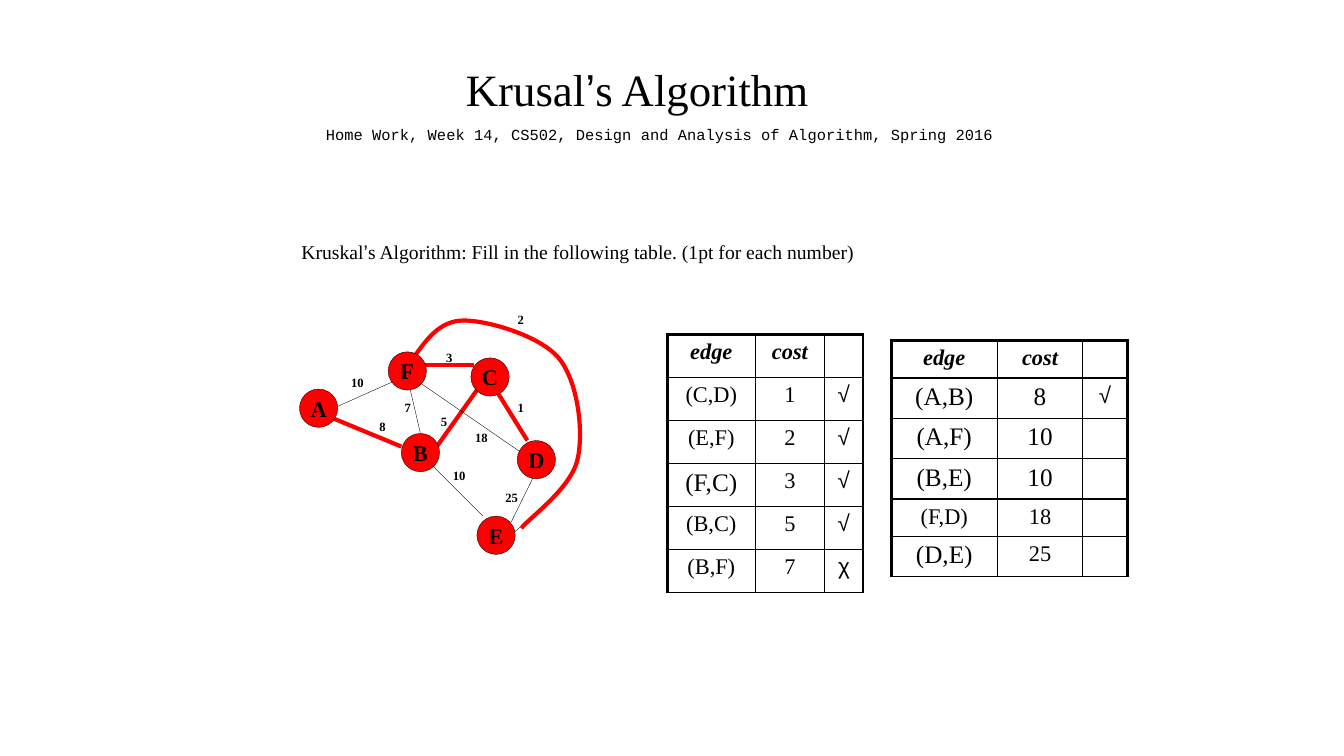
"""Build the Kruskal exercise slide: a weighted graph beside its two edge tables."""
from lxml.etree import SubElement
from pptx import Presentation
from pptx.dml.color import RGBColor
from pptx.enum.shapes import MSO_CONNECTOR, MSO_SHAPE
from pptx.enum.text import MSO_ANCHOR, MSO_AUTO_SIZE, PP_ALIGN
from pptx.oxml import parse_xml
from pptx.oxml.ns import nsdecls, qn
from pptx.util import Inches, Pt

BLACK = RGBColor(0x00, 0x00, 0x00)
RED = RGBColor(0xFF, 0x00, 0x00)
SERIF, SANS, MONO = "Times New Roman", "Arial", "Courier New"
GRID = Inches(0.01)


def grid(*steps):
    """Turn grid steps into slide lengths."""
    return [round(step * GRID) for step in steps]


def add_span(para, text, size, font=SERIF, bold=False, italic=False):
    """Add one formatted run of text."""
    span = para.add_run()
    span.text = text
    span.font.size, span.font.name = Pt(size), font
    span.font.bold, span.font.italic = bold, italic
    span.font.color.rgb = BLACK


deck = Presentation()
deck.slide_width, deck.slide_height = grid(1333, 750)
page = deck.slides.add_slide(deck.slide_layouts[5])

title = page.shapes.title
title.left, title.top, title.width, title.height = grid(452, 59, 360, 58)
title_frame = title.text_frame
title_frame.margin_left = title_frame.margin_right = 0
title_frame.margin_top = title_frame.margin_bottom = 0
title_frame.auto_size = MSO_AUTO_SIZE.NONE
title_frame.word_wrap = True
title_frame.vertical_anchor = MSO_ANCHOR.MIDDLE
title_para = title_frame.paragraphs[0]
title_para.alignment = PP_ALIGN.CENTER
for text, font in [("Krusal", SERIF), ("’", SANS), ("s Algorithm", SERIF)]:
    add_span(title_para, text, 32, font)

edges = [
    ((538, 455, 507, 518), False),
    ((404, 374, 417, 430), False),
    ((429, 449, 473, 387), True),
    ((517, 449, 417, 380), False),
    ((323, 412, 398, 443), True),
    ((420, 362, 470, 362), True),
    ((492, 387, 523, 437), True),
    ((429, 462, 479, 512), False),
    ((333, 404, 389, 379), False),
    ((529, 512, 510, 528), False),
]
for ends, chosen in edges:
    edge = page.shapes.add_connector(MSO_CONNECTOR.STRAIGHT, *grid(*ends))
    edge.line.color.rgb = RED if chosen else BLACK
    edge.line.width = Pt(3 if chosen else 0.25)
    SubElement(edge._element.spPr, qn("a:effectLst"))

curve_points = [
    (423, 337), (436, 318), (460, 318),
    (484, 318), (535, 333), (554, 355),
    (573, 378), (579, 427), (573, 455),
    (567, 484), (526, 513), (517, 524),
]
builder = page.shapes.build_freeform(410, 355, scale=GRID)
builder.add_line_segments(curve_points, close=False)
curve = builder.convert_to_shape()
curve.shadow.inherit = False
curve.fill.background()
curve.line.color.rgb = RED
curve.line.width = Pt(3)
outline = curve._element.spPr.find(".//" + qn("a:path"))
segments = outline.findall(qn("a:lnTo"))
for first in range(0, len(segments), 3):
    bend = SubElement(outline, qn("a:cubicBezTo"))
    for segment in segments[first:first + 3]:
        bend.append(segment[0])
        outline.remove(segment)

nodes = [("A", 297, 386), ("B", 398, 430), ("F", 385, 349),
         ("E", 473, 512), ("D", 513, 437), ("C", 467, 355)]
for name, left, top in nodes:
    node = page.shapes.add_shape(MSO_SHAPE.OVAL, *grid(left, top, 38, 38))
    node.shadow.inherit = False
    node.fill.solid()
    node.fill.fore_color.rgb = RED
    node.line.color.rgb = BLACK
    node.line.width = Pt(0.25)
    frame = node.text_frame
    frame.margin_left = frame.margin_right = frame.margin_top = frame.margin_bottom = 0
    frame.word_wrap = False
    frame.vertical_anchor = MSO_ANCHOR.MIDDLE
    para = frame.paragraphs[0]
    para.alignment = PP_ALIGN.CENTER
    add_span(para, name, 16, bold=True)

weights = [("25", 488, 482), ("10", 436, 460), ("18", 458, 422), ("1", 504, 393),
           ("5", 428, 407), ("3", 433, 343), ("7", 392, 393), ("8", 367, 412),
           ("10", 335, 368), ("2", 504, 305)]
boxes = [((left, top, 39 if len(weight) == 2 else 25, 21), 4, PP_ALIGN.CENTER, 9, True,
          [(weight, SERIF)]) for weight, left, top in weights]
boxes += [
    ((308, 121, 693, 23), 3, PP_ALIGN.CENTER, 11, False,
     [("Home Work, Week 14, CS502, Design and Analysis of Algorithm, Spring 2016", MONO)]),
    ((295, 234, 592, 29), 4, PP_ALIGN.LEFT, 14, False,
     [("Kruskal", SERIF), ("’", SANS),
      ("s Algorithm: Fill in the following table. (1pt for each number)", SERIF)]),
]
for place, margin, alignment, size, bold, spans in boxes:
    box = page.shapes.add_textbox(*grid(*place))
    frame = box.text_frame
    frame.word_wrap = True
    frame.margin_left = frame.margin_right = frame.margin_top = frame.margin_bottom = margin * GRID
    para = frame.paragraphs[0]
    para.alignment = alignment
    for text, font in spans:
        add_span(para, text, size, font, bold)

HEADER = [("edge", 16), ("cost", 16), ("", 16)]
tables = [
    ((884, 338), (105, 85, 44), (37, 40, 40, 40, 37, 40), [
        HEADER,
        [("(A,B)", 18), ("8", 18), ("√", 16)],
        [("(A,F)", 18), ("10", 18), ("", 16)],
        [("(B,E)", 18), ("10", 18), ("", 16)],
        [("(F,D)", 16), ("18", 16), ("", 16)],
        [("(D,E)", 18), ("25", 16), ("", 16)],
    ]),
    ((662, 332), (87, 69, 38), (256 / 6,) * 6, [
        HEADER,
        [("(C,D)", 16), ("1", 16), ("√", 16)],
        [("(E,F)", 16), ("2", 16), ("√", 16)],
        [("(F,C)", 18), ("3", 16), ("√", 16)],
        [("(B,C)", 16), ("5", 16), ("√", 16)],
        [("(B,F)", 16), ("7", 16), ("χ", 16)],
    ]),
]
for corner, widths, heights, rows in tables:
    holder = page.shapes.add_table(6, 3, *grid(*corner, sum(widths), sum(heights)))
    table = holder.table
    table.first_row = table.horz_banding = False
    for column, width in zip(table.columns, grid(*widths)):
        column.width = width
    for row, height in zip(table.rows, grid(*heights)):
        row.height = height
    for row_number, row in enumerate(rows):
        for column_number, (text, size) in enumerate(row):
            cell = table.cell(row_number, column_number)
            cell.margin_left = cell.margin_right = 5 * GRID
            cell.margin_top = cell.margin_bottom = 5 * GRID
            cell.fill.background()
            para = cell.text_frame.paragraphs[0]
            para.alignment = PP_ALIGN.CENTER
            if text:
                heading = row_number == 0
                font = SANS if column_number == 2 else SERIF
                add_span(para, text, size, font, heading, heading)
            else:
                SubElement(para._p, qn("a:endParaRPr"), sz=str(size * 100))
            thick_sides = {"L": column_number == 0, "R": column_number == 2,
                           "T": row_number == 0, "B": False}
            for position, (side, thick) in enumerate(thick_sides.items()):
                border = parse_xml(
                    f'<a:ln{side} {nsdecls("a")} w="{Pt(2.25 if thick else 1)}">'
                    f'<a:solidFill><a:srgbClr val="{BLACK}"/></a:solidFill></a:ln{side}>')
                cell._tc.get_or_add_tcPr().insert(position, border)

deck.save("out.pptx")
